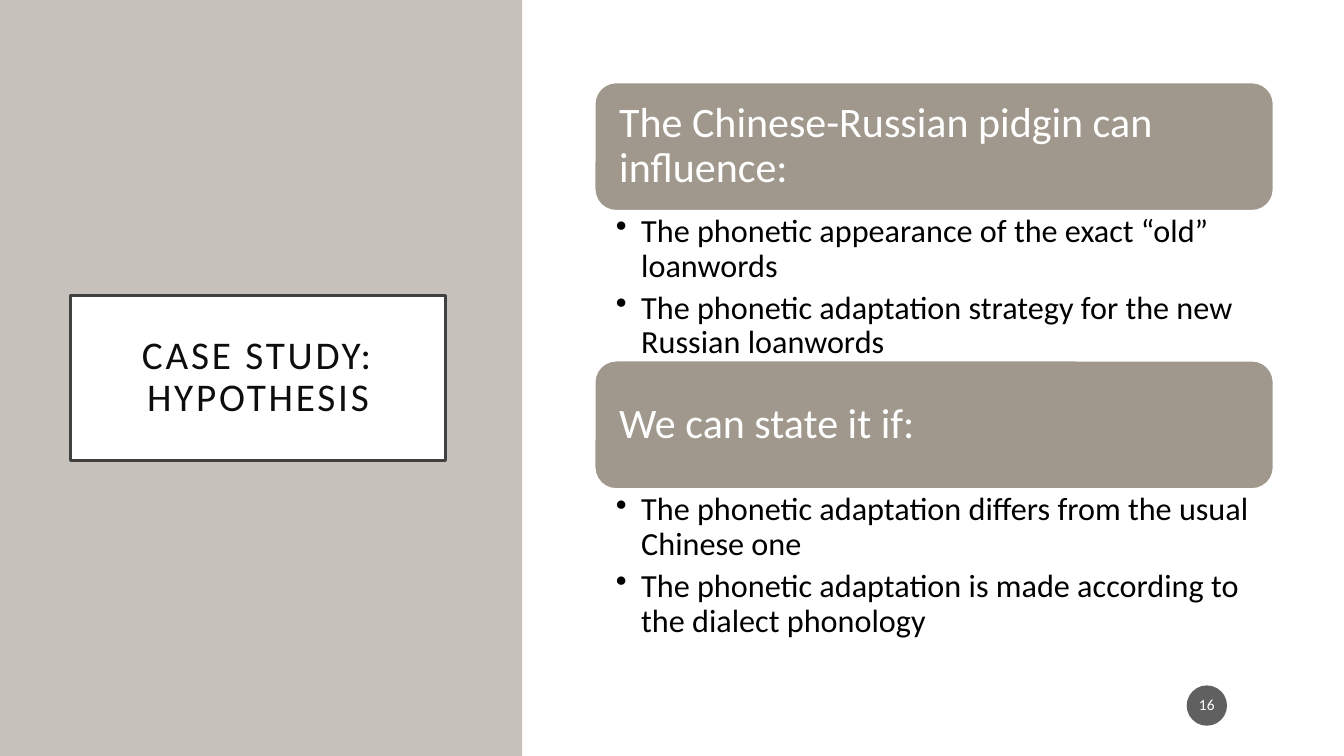
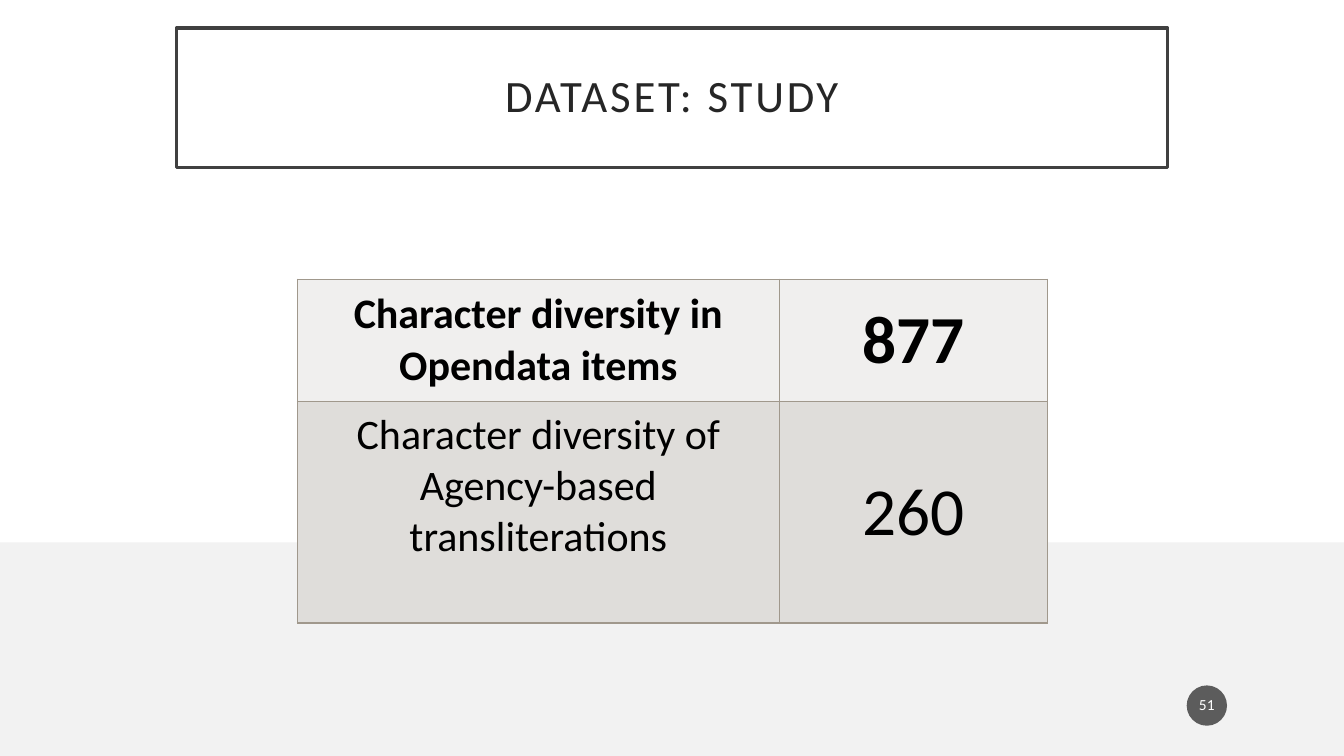
import pptx
import pptx.util
import pptx.dml.color
import pptx.enum.shapes
import pptx.enum.text
import pptx.oxml
import pptx.oxml.ns

PX = 9144  # 100 px to the inch
WIDE, HIGH = 1333, 750
FONT = "Calibri"
WHITE, BLACK, FRAME, TAUPE = "FFFFFF", "000000", "404040", "A0988C"
SHAPE = pptx.enum.shapes.MSO_SHAPE
LEFT, CENTER = pptx.enum.text.PP_ALIGN.LEFT, pptx.enum.text.PP_ALIGN.CENTER
TOP, MIDDLE = pptx.enum.text.MSO_ANCHOR.TOP, pptx.enum.text.MSO_ANCHOR.MIDDLE


def px(*sizes):
    return [pptx.util.Emu(size * PX) for size in sizes]


def hue(code):
    return pptx.dml.color.RGBColor.from_string(code)


def put(item, values):
    """Set each named attribute of the item."""
    for name, value in values.items():
        setattr(item, name, value)


def pad(item, sides):
    """Set the left, top, right and bottom margins of a text frame or cell."""
    names = ("margin_left", "margin_top", "margin_right", "margin_bottom")
    put(item, dict(zip(names, px(*sides))))


def paint(fill, code):
    fill.solid()
    fill.fore_color.rgb = hue(code)


def outline(shape, code, width):
    shape.line.color.rgb = hue(code)
    shape.line.width = pptx.util.Pt(width)


def write(frame, lines, size, color, align=LEFT, bold=False, gap=0, space=0.9):
    """Fill a text frame, one paragraph for each line."""
    for spot, line in enumerate(lines):
        para = frame.add_paragraph() if spot else frame.paragraphs[0]
        put(para, {"alignment": align, "line_spacing": space,
                   "space_before": pptx.util.Pt(0),
                   "space_after": pptx.util.Pt(gap)})
        run = para.add_run()
        run.text = line
        put(run.font, {"name": FONT, "size": pptx.util.Pt(size), "bold": bold})
        run.font.color.rgb = hue(color)


def setup(frame, sides, anchor=MIDDLE):
    put(frame, {"word_wrap": True, "vertical_anchor": anchor,
                "auto_size": pptx.enum.text.MSO_AUTO_SIZE.NONE})
    pad(frame, sides)


def block(slide, kind, box, code):
    """Add a plain filled shape without a line."""
    shape = slide.shapes.add_shape(kind, *px(*box))
    shape.shadow.inherit = False
    paint(shape.fill, code)
    shape.line.fill.background()
    return shape


def title(slide, box, text, size, color, side):
    shape = slide.shapes.title
    names = ("left", "top", "width", "height")
    put(shape, dict(zip(names, px(*box))))
    paint(shape.fill, WHITE)
    outline(shape, FRAME, 2.5)
    frame = shape.text_frame
    setup(frame, (side, 20, side, 20))
    write(frame, [text], size, color, CENTER)
    frame.paragraphs[0].runs[0].font._element.set("spc", "200")
    slide.shapes._spTree.append(shape._element)  # in front of the band


def badge(slide, number):
    """Add the round page number."""
    shape = block(slide, SHAPE.OVAL, (1177, 680, 40, 40), "1D1D1D")
    tint = shape.fill._xPr.find(".//" + pptx.oxml.ns.qn("a:srgbClr"))
    tint.append(pptx.oxml.parse_xml(
        f'<a:alpha {pptx.oxml.ns.nsdecls("a")} val="70000"/>'))
    setup(shape.text_frame, (2, 5, 2, 5))
    write(shape.text_frame, [number], 11, WHITE, CENTER)


def start(deck, back, band, code):
    """Add a slide with its background and its colour band."""
    slide = deck.slides.add_slide(deck.slide_layouts[5])
    paint(slide.background.fill, back)
    block(slide, SHAPE.RECTANGLE, band, code)
    return slide


def bullets(frame, lines):
    write(frame, lines, 23, BLACK, gap=5)
    for para in frame.paragraphs:
        props = para._p.get_or_add_pPr()
        props.set("marL", str(25 * PX))
        props.set("indent", str(-25 * PX))
        props.append(pptx.oxml.parse_xml(
            f'<a:buChar {pptx.oxml.ns.nsdecls("a")} char="•"/>'))


def section(slide, box, head, lines):
    """Add a rounded heading with its bullet list below."""
    left, top, width, height = box
    bar = 127
    shape = block(slide, SHAPE.ROUNDED_RECTANGLE, (left, top, width, bar), TAUPE)
    outline(shape, WHITE, 1)
    setup(shape.text_frame, (18, 18, 18, 18))
    write(shape.text_frame, [head], 30, WHITE)
    area = slide.shapes.add_textbox(*px(left, top + bar, width, height - bar))
    setup(area.text_frame, (21, 4, 23, 4), TOP)
    bullets(area.text_frame, lines)


def border(cell, code):
    props = cell._tc.get_or_add_tcPr()
    for side in ("lnL", "lnR", "lnT", "lnB"):
        props.append(pptx.oxml.parse_xml(
            f'<a:{side} {pptx.oxml.ns.nsdecls("a")} w="12700"><a:solidFill>'
            f'<a:srgbClr val="{code}"/></a:solidFill></a:{side}>'))


def table(slide, left, top, cols, rows):
    """Add a table; each row gives height, fill, bold, foot margin and texts."""
    box = px(left, top, sum(cols), sum(row[0] for row in rows))
    grid = slide.shapes.add_table(len(rows), len(cols), *box).table
    put(grid, {"first_row": False, "horz_banding": False})
    for spot, width in enumerate(px(*cols)):
        grid.columns[spot].width = width
    for line, (height, code, bold, foot, texts) in enumerate(rows):
        grid.rows[line].height = px(height)[0]
        for spot, (text, size) in enumerate(zip(texts, (30, 48))):
            cell = grid.cell(line, spot)
            border(cell, TAUPE)
            paint(cell.fill, code)
            cell.vertical_anchor = MIDDLE
            pad(cell, (15, 7, 15, 7 if spot else foot))
            write(cell.text_frame, [text], size, BLACK, CENTER, bold, space=1.0)


def theory(deck):
    slide = start(deck, WHITE, (0, 0, 518, HIGH), "C6C1BA")
    title(slide, (70, 293, 372, 164), "CASE STUDY: HYPOTHESIS", 28, "0D0D0D", 20)
    parts = [
        ("The Chinese-Russian pidgin can influence:",
         ["The phonetic appearance of the exact “old” loanwords",
          "The phonetic adaptation strategy for the new Russian loanwords"]),
        ("We can state it if:",
         ["The phonetic adaptation differs from the usual Chinese one",
          "The phonetic adaptation is made according to the dialect phonology"]),
    ]
    step = 276
    for spot, (head, lines) in enumerate(parts):
        section(slide, (590, 82 + spot * step, 673, step), head, lines)
    badge(slide, "16")


def dataset(deck):
    slide = start(deck, "F2F2F2", (0, 0, WIDE, 538), WHITE)
    title(slide, (175, 28, 983, 138), "DATASET: STUDY", 32, "262626", 30)
    table(slide, 295, 277, (478, 266), [
        (121, "F0EFEE", True, 7,
         ("Character diversity in Opendata items", "877")),
        (220, "DFDDDA", False, 58,
         ("Character diversity of Agency-based transliterations", "260")),
    ])
    badge(slide, "51")


def main():
    deck = pptx.Presentation()
    deck.slide_width, deck.slide_height = px(WIDE, HIGH)
    theory(deck)
    dataset(deck)
    deck.save("out.pptx")


if __name__ == "__main__":
    main()
